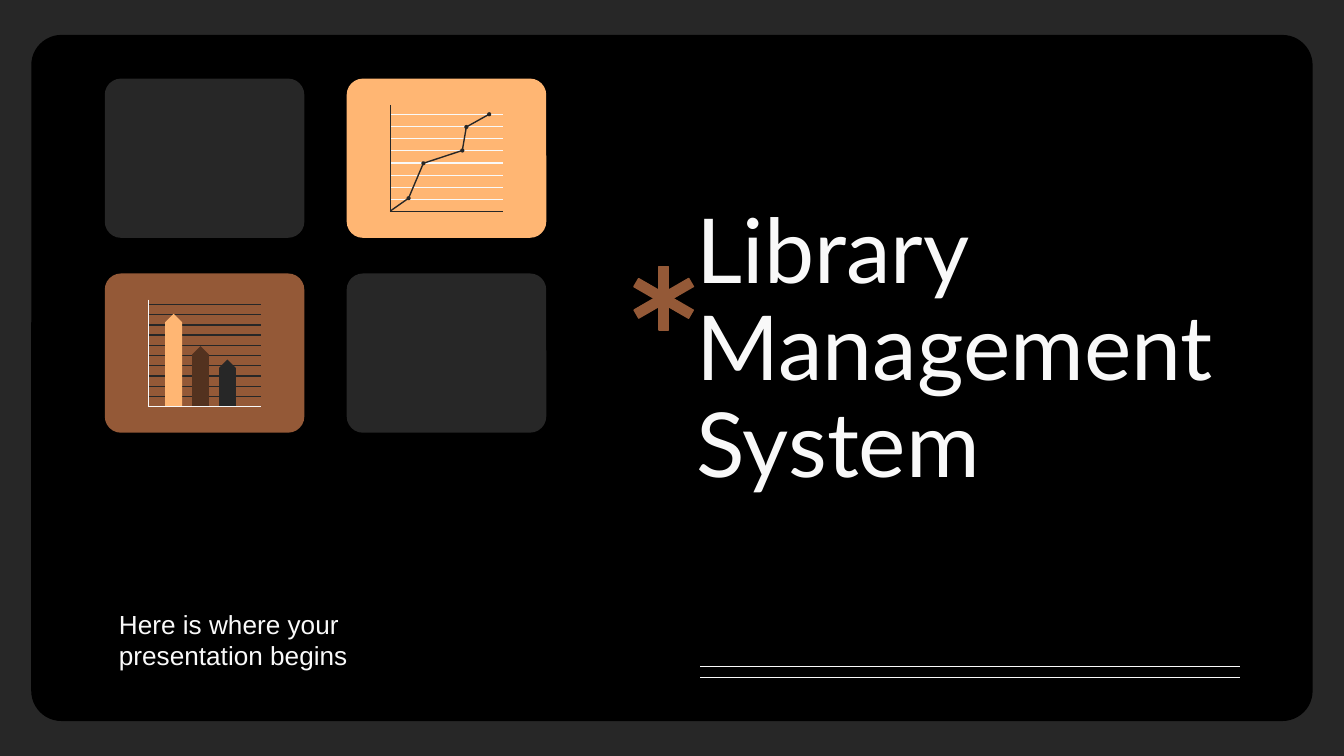
from typing import NamedTuple

from pptx import Presentation
from pptx.dml.color import RGBColor
from pptx.enum.shapes import MSO_CONNECTOR, MSO_SHAPE
from pptx.enum.text import MSO_ANCHOR, PP_ALIGN
from pptx.oxml import parse_xml
from pptx.oxml.ns import nsdecls
from pptx.util import Inches, Pt

COLS, ROWS = 1000, 562.5
DARK, BLACK, WHITE = "272727", "000000", "F9F9F9"
PEACH, BROWN, UMBER = "FFB673", "945937", "53321F"


class Box(NamedTuple):
    """A frame in grid columns and rows."""
    x: float
    y: float
    w: float
    h: float


class Card(NamedTuple):
    """A rounded card in the two by two block."""
    col: int
    row: int
    fill: str

    def frame(self) -> Box:
        """Return the frame of the card."""
        return Box(78 + 180 * self.col, 58.5 + 145 * self.row, 148.5, 118.5)

    def plot(self) -> Box:
        """Return the frame of the chart inside the card."""
        card = self.frame()
        return Box(card.x + 32, card.y + 19.5, 84, 79.5)


class Bar(NamedTuple):
    """A pointed bar: offset from the plot's left, height and fill."""
    x: float
    h: float
    fill: str


class Rules(NamedTuple):
    """Evenly spaced grid lines: first and last offset, count and colour."""
    start: float
    stop: float
    count: int
    hue: str


LINES = Card(1, 0, PEACH)
BARS = Card(0, 1, BROWN)
CARDS = [LINES, Card(0, 0, DARK), Card(1, 1, DARK), BARS]
DOTS = [(14, 69.5), (25, 43.5), (54, 34), (57, 16.5), (74, 7)]
TOWERS = [Bar(13, 69, PEACH), Bar(33, 45, UMBER), Bar(53, 35, DARK)]


def span(cells: float) -> int:
    """Turn grid cells into a slide length."""
    return Inches(10 * cells / COLS)


def color(code: str) -> RGBColor:
    """Turn a hex string into a colour."""
    return RGBColor.from_string(code)


def shape(slide, kind: MSO_SHAPE, box: Box, fill: str, edge: bool = False,
          turn: float = 0, adjust: tuple = ()) -> None:
    """Draw a filled preset shape."""
    item = slide.shapes.add_shape(kind, *map(span, box))
    item.shadow.inherit = False
    item.rotation = turn
    for index, value in enumerate(adjust):
        item.adjustments[index] = value
    item.fill.solid()
    item.fill.fore_color.rgb = color(fill)
    if edge:
        item.line.color.rgb = color(fill)
        item.line.width = Pt(0.75)
    else:
        item.line.fill.background()


def line(slide, start: tuple, end: tuple, hue: str) -> None:
    """Draw a thin straight line."""
    item = slide.shapes.add_connector(
        MSO_CONNECTOR.STRAIGHT, *map(span, (*start, *end)))
    item.line.color.rgb = color(hue)
    item.line.width = Pt(0.75)
    item._element.spPr.append(parse_xml(f"<a:effectLst {nsdecls('a')}/>"))


def write(slide, box: Box, text: str, *, font: str, size: float,
          hue: str = WHITE, lead: float = 1.0) -> None:
    """Write wrapped text that stands on the bottom of its box."""
    frame = slide.shapes.add_textbox(*map(span, box)).text_frame
    frame.word_wrap = True
    frame.vertical_anchor = MSO_ANCHOR.BOTTOM
    frame.margin_left = frame.margin_right = span(10)
    frame.margin_top = frame.margin_bottom = span(10)
    para = frame.paragraphs[0]
    para.alignment = PP_ALIGN.LEFT
    para.line_spacing = lead
    run = para.add_run()
    run.text = text
    run.font.name = font
    run.font.size = Pt(size)
    run.font.color.rgb = color(hue)


def rule(slide, plot: Box, rules: Rules) -> None:
    """Draw the grid lines of a plot."""
    step = (rules.stop - rules.start) / (rules.count - 1)
    for index in range(rules.count):
        y = plot.y + rules.start + index * step
        line(slide, (plot.x, y), (plot.x + plot.w, y), rules.hue)


def axes(slide, plot: Box, hue: str) -> None:
    """Draw the two axes of a plot."""
    base = plot.y + plot.h
    line(slide, (plot.x, base), (plot.x + plot.w, base), hue)
    line(slide, (plot.x + 0.5, plot.y), (plot.x + 0.5, base), hue)


def trend(slide, plot: Box) -> None:
    """Draw the rising line sketch."""
    rule(slide, plot, Rules(7, 70.5, 8, WHITE))
    axes(slide, plot, DARK)
    spots = [(plot.x + x, plot.y + y) for x, y in DOTS]
    for x, y in spots:
        shape(slide, MSO_SHAPE.OVAL, Box(x - 1, y - 1, 2, 2), DARK, edge=True)
    origin = (plot.x + 0.5, plot.y + 79)
    for start, end in zip([origin, *spots], spots):
        line(slide, start, end, DARK)


def tower(slide, plot: Box) -> None:
    """Draw the pointed bar sketch."""
    rule(slide, plot, Rules(3.5, 72, 10, DARK))
    for bar in TOWERS:
        box = Box(plot.x + bar.x, plot.y + plot.h - bar.h, 12.5, bar.h)
        shape(slide, MSO_SHAPE.SNIP_2_SAME_RECTANGLE, box, bar.fill,
              adjust=(0.5, 0))
    axes(slide, plot, WHITE)


def main() -> None:
    """Build and save the slide."""
    deck = Presentation()
    deck.slide_width, deck.slide_height = span(COLS), span(ROWS)
    slide = deck.slides.add_slide(deck.slide_layouts[6])
    slide.background.fill.solid()
    slide.background.fill.fore_color.rgb = color(DARK)

    shape(slide, MSO_SHAPE.ROUNDED_RECTANGLE, Box(23.3, 26, 953.4, 510.5),
          BLACK, adjust=(0.044,))
    for card in CARDS:
        shape(slide, MSO_SHAPE.ROUNDED_RECTANGLE, card.frame(), card.fill,
              adjust=(0.102,))
    write(slide, Box(508.5, 156.5, 414, 223), "Library Management System",
          font="Lato", size=48, lead=0.9)
    write(slide, Box(78.7, 446.5, 267, 63),
          "Here is where your presentation begins", font="Arial", size=14)
    for turn in (0, 300, 60):
        shape(slide, MSO_SHAPE.RECTANGLE, Box(490.3, 198.5, 7, 47), BROWN,
              edge=True, turn=turn)
    trend(slide, LINES.plot())
    tower(slide, BARS.plot())
    for y in (496, 504):
        line(slide, (922.5, y), (521, y), WHITE)
    deck.save("out.pptx")


if __name__ == "__main__":
    main()
